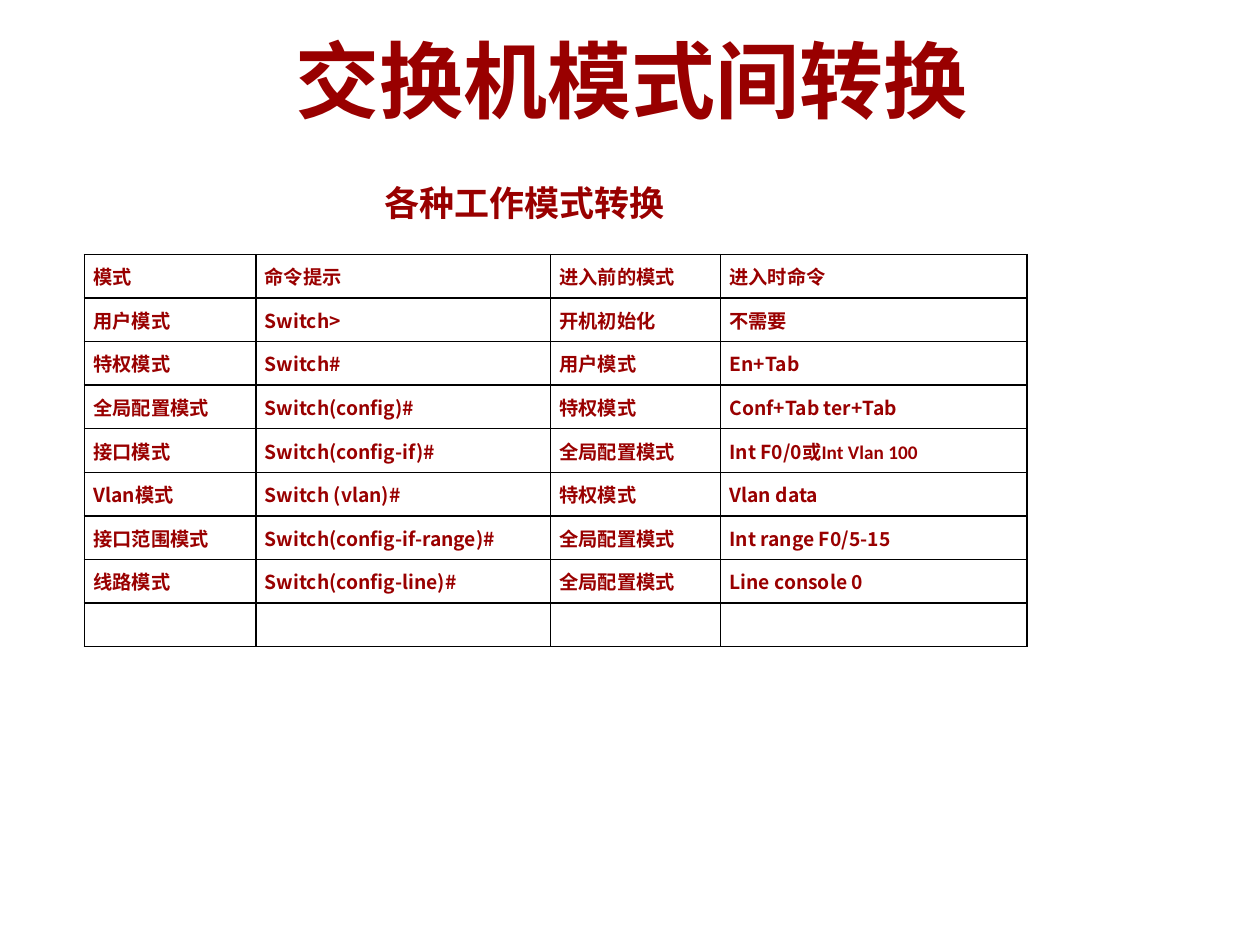
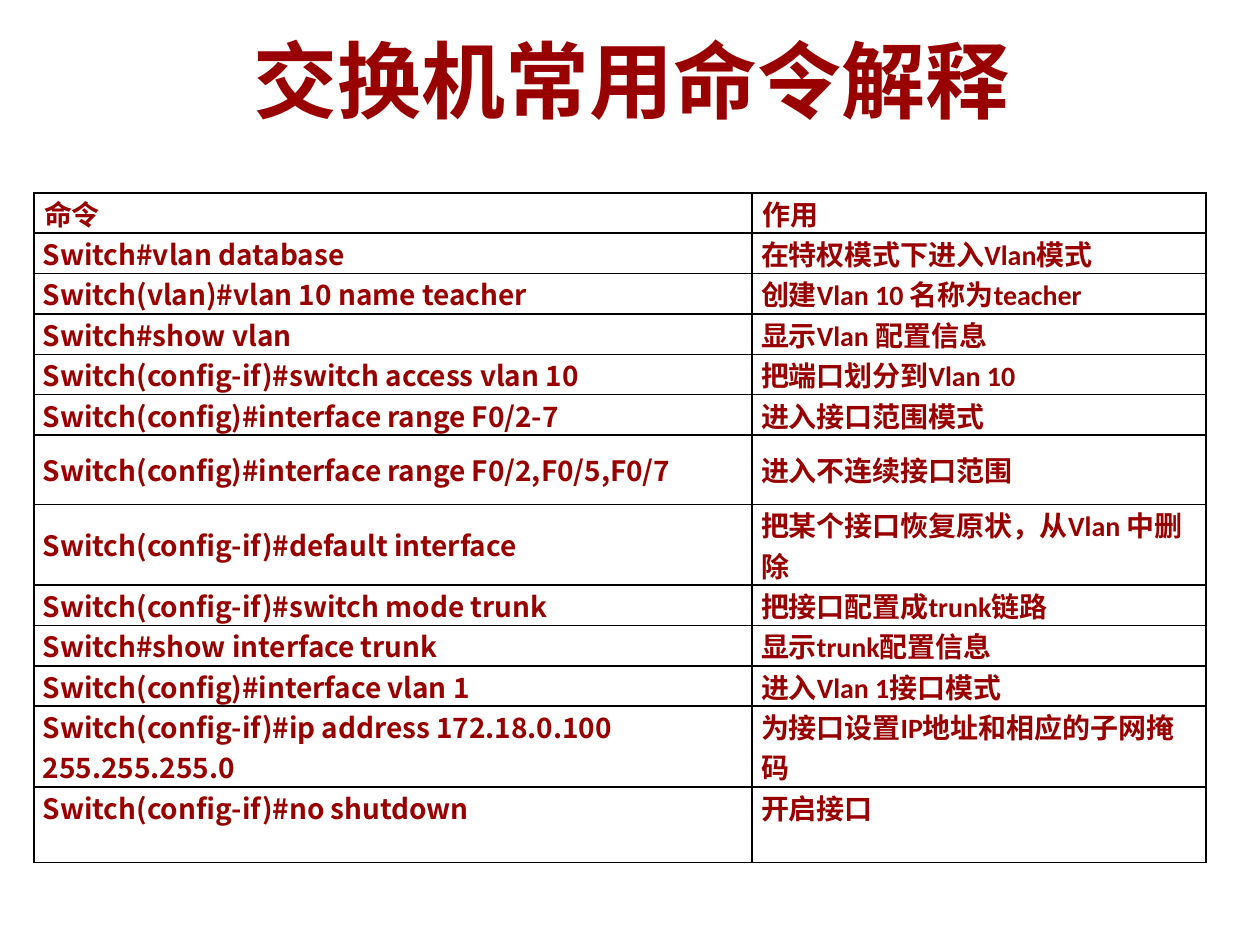
from dataclasses import dataclass

from lxml import etree
from pptx import Presentation
from pptx.dml.color import RGBColor
from pptx.enum.text import MSO_ANCHOR, MSO_AUTO_SIZE, PP_ALIGN
from pptx.oxml.ns import qn
from pptx.util import Inches, Pt

MIDDLE, TOP = MSO_ANCHOR.MIDDLE, MSO_ANCHOR.TOP
CENTER, JUSTIFY = PP_ALIGN.CENTER, PP_ALIGN.JUSTIFY
GROW = MSO_AUTO_SIZE.SHAPE_TO_FIT_TEXT
TITLE_ONLY = 5

DARK_RED = "990000"
BLACK = "000000"
TITLE_FONT = "Arial"
SUBTITLE_FONT = "Roboto"
TEXT_FONT = "Calibri"
COMMAND_FONT = "Noto Sans CJK SC"
RUN_BREAK = "|"
ALL_EDGES = ("L", "R", "T", "B")


@dataclass(frozen=True)
class TableSpec:
    left: float
    top: float
    columns: tuple[float, ...]
    row_heights: tuple[float, ...]
    size: int
    rows: tuple[tuple[str, ...], ...]
    justified_header: bool = False
    merged_look_end: bool = False


MODES = TableSpec(
    0.67, 2.02, (1.36, 2.34, 1.35, 2.43), (0.346,) * 9, 11,
    (
        ("模式", "命令提示", "进入前的模式", "进入时命令"),
        ("用户模式", "Switch>", "开机初始化", "不需要"),
        ("特权模式", "Switch#", "用户模式", "En+Tab"),
        ("全局配置模式", "Switch(config)#", "特权模式", "Conf+Tab ter+Tab"),
        ("接口模式", "Switch(config-if)#", "全局配置模式", "Int F0/0|或Int Vlan 100"),
        ("Vlan|模式", "Switch (vlan)#", "特权模式", "Vlan data"),
        ("接口范围模式", "Switch(config-if-range)#", "全局配置模式", "Int range F0/5-15"),
        ("线路模式", "Switch(config-line)#", "全局配置模式", "Line console 0"),
        ("", "", "", ""),
    ),
)

COMMANDS = TableSpec(
    0.27, 1.53, (5.7, 3.6),
    (0.27, *(0.28,) * 5, 0.55, 0.53, *(0.28,) * 3, 0.55, 0.28, 0.28), 16,
    (
        ("命令", "作用"),
        ("Switch#vlan database", "在特权模式下进入Vlan模式"),
        ("Switch(vlan)#vlan 10 name teacher", "创建Vlan 10 名称为teacher"),
        ("Switch#show vlan", "显示Vlan 配置信息"),
        ("Switch(config-if)#switch access vlan 10", "把端口划分到Vlan 10"),
        ("Switch(config)#interface range F0/2-7", "进入接口范围模式"),
        ("Switch(config)#interface range F0/2,F0/5,F0/7", "进入不连续接口范围"),
        ("Switch(config-if)#default interface", "把某个接口恢复原状，从Vlan 中删除"),
        ("Switch(config-if)#switch mode trunk", "把接口配置成trunk链路"),
        ("Switch#show interface trunk", "显示trunk配置信息"),
        ("Switch(config)#interface vlan 1", "进入Vlan 1接口模式"),
        ("Switch(config-if)#ip address 172.18.0.100 255.255.255.0",
         "为接口设置IP地址和相应的子网掩码"),
        ("Switch(config-if)#no shutdown", "开启接口"),
        ("", ""),
    ),
    justified_header=True,
    merged_look_end=True,
)


def colour(value: str) -> RGBColor:
    return RGBColor.from_string(value)


def format_run(run, font_name: str, size: int) -> None:
    font = run.font
    font.name, font.size, font.bold = font_name, Pt(size), True
    font.color.rgb = colour(DARK_RED)
    east_asian = etree.SubElement(run._r.get_or_add_rPr(), qn("a:ea"))
    east_asian.set("typeface", COMMAND_FONT)


def add_title(slide, text: str) -> None:
    title = slide.shapes.title
    title.left, title.top = Inches(0.51), Inches(0)
    title.width, title.height = Inches(9), Inches(1.25)
    text_frame = title.text_frame
    text_frame.text = text
    text_frame.vertical_anchor = MIDDLE
    paragraph = text_frame.paragraphs[0]
    paragraph.alignment = CENTER
    format_run(paragraph.runs[0], TITLE_FONT, 48)


def add_subtitle(slide, text: str) -> None:
    box = slide.shapes.add_textbox(Inches(2.95), Inches(1.39), Inches(2.46), Inches(0.44))
    text_frame = box.text_frame
    text_frame.text = text
    text_frame.word_wrap = False
    text_frame.auto_size = GROW
    format_run(text_frame.paragraphs[0].runs[0], SUBTITLE_FONT, 20)


def set_borders(cell, edges: tuple[str, ...]) -> None:
    properties = cell._tc.get_or_add_tcPr()
    for position, edge in enumerate(ALL_EDGES):
        visible = edge in edges
        line = etree.Element(qn(f"a:ln{edge}"), w=str(Pt(1) if visible else 0))
        fill = etree.SubElement(line, qn("a:solidFill" if visible else "a:noFill"))
        if visible:
            etree.SubElement(fill, qn("a:srgbClr"), val=BLACK)
        properties.insert(position, line)


def fill_cell(cell, text: str, size: int) -> None:
    cell.fill.background()
    cell.vertical_anchor = MIDDLE
    cell.margin_left = cell.margin_right = Inches(0.07)
    cell.margin_top = cell.margin_bottom = Inches(0)
    paragraph = cell.text_frame.paragraphs[0]
    if not text:
        etree.SubElement(paragraph._p, qn("a:endParaRPr"), sz=str(size * 100))
        return
    for part in text.split(RUN_BREAK):
        run = paragraph.add_run()
        run.text = part
        format_run(run, COMMAND_FONT if part.isascii() else TEXT_FONT, size)


def justify_header(cell) -> None:
    cell.vertical_anchor = TOP
    paragraph = cell.text_frame.paragraphs[0]
    paragraph.alignment = JUSTIFY
    paragraph._p.get_or_add_pPr().set("marL", str(Inches(0.01)))


def visible_edges(spec: TableSpec, row_index: int) -> tuple[str, ...]:
    last = len(spec.rows) - 1
    if spec.merged_look_end and row_index == last - 1:
        return ("L", "R", "T")
    if spec.merged_look_end and row_index == last:
        return ("L", "R", "B")
    return ALL_EDGES


def add_grid(slide, spec: TableSpec) -> None:
    table = slide.shapes.add_table(
        len(spec.rows), len(spec.columns), Inches(spec.left), Inches(spec.top),
        Inches(sum(spec.columns)), Inches(sum(spec.row_heights)),
    ).table
    table.first_row = table.horz_banding = False
    for column, width in zip(table.columns, spec.columns):
        column.width = Inches(width)
    for row_index, texts in enumerate(spec.rows):
        table.rows[row_index].height = Inches(spec.row_heights[row_index])
        for column_index, text in enumerate(texts):
            cell = table.cell(row_index, column_index)
            fill_cell(cell, text, spec.size)
            set_borders(cell, visible_edges(spec, row_index))
            if spec.justified_header and row_index == 0:
                justify_header(cell)


def add_titled_slide(presentation, title: str, spec: TableSpec):
    slide = presentation.slides.add_slide(presentation.slide_layouts[TITLE_ONLY])
    add_title(slide, title)
    add_grid(slide, spec)
    return slide


def main() -> None:
    presentation = Presentation()
    presentation.slide_width, presentation.slide_height = Inches(10), Inches(7.5)
    modes_slide = add_titled_slide(presentation, "交换机模式间转换", MODES)
    add_subtitle(modes_slide, "各种工作模式转换")
    add_titled_slide(presentation, "交换机常用命令解释", COMMANDS)
    presentation.save("out.pptx")


if __name__ == "__main__":
    main()
